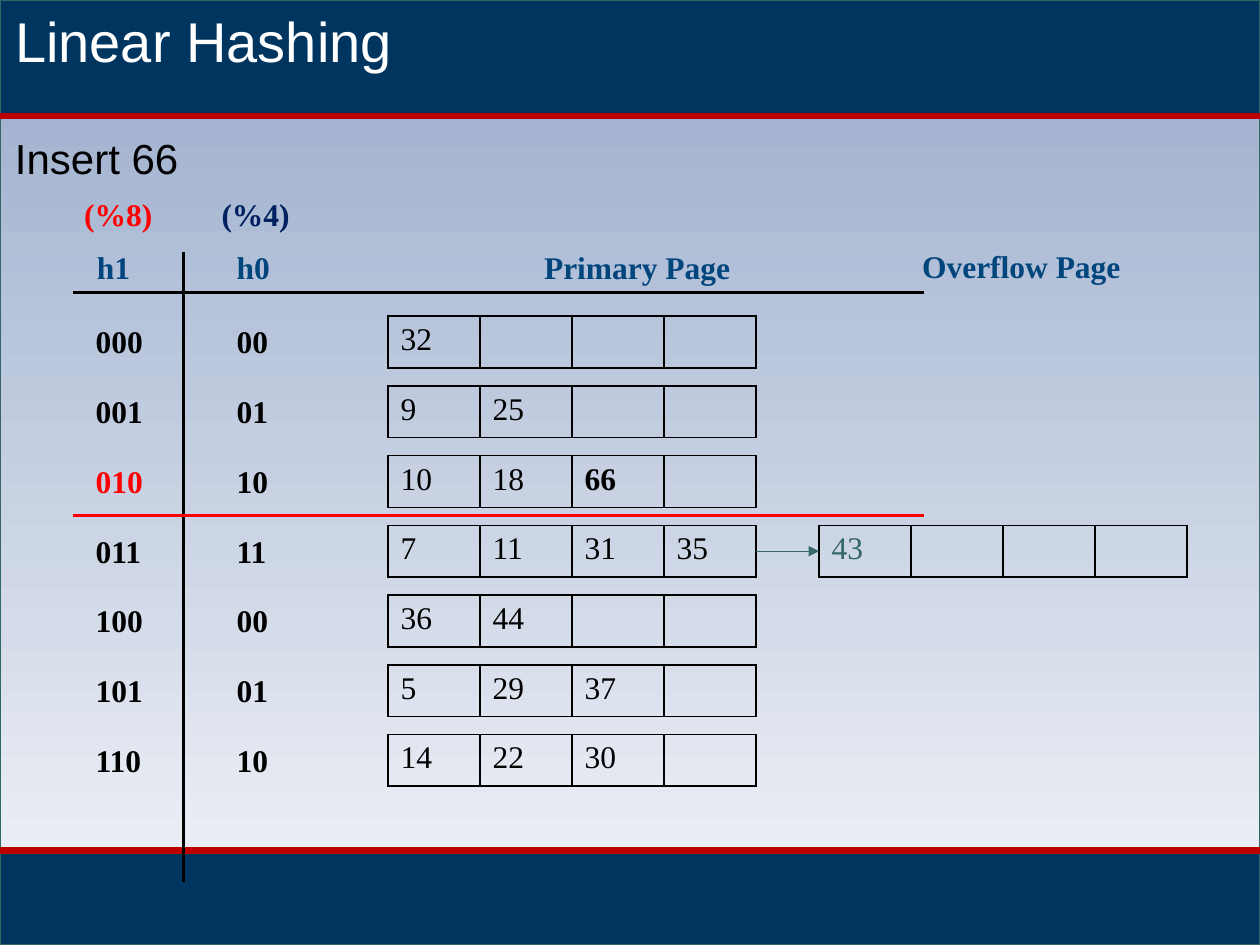
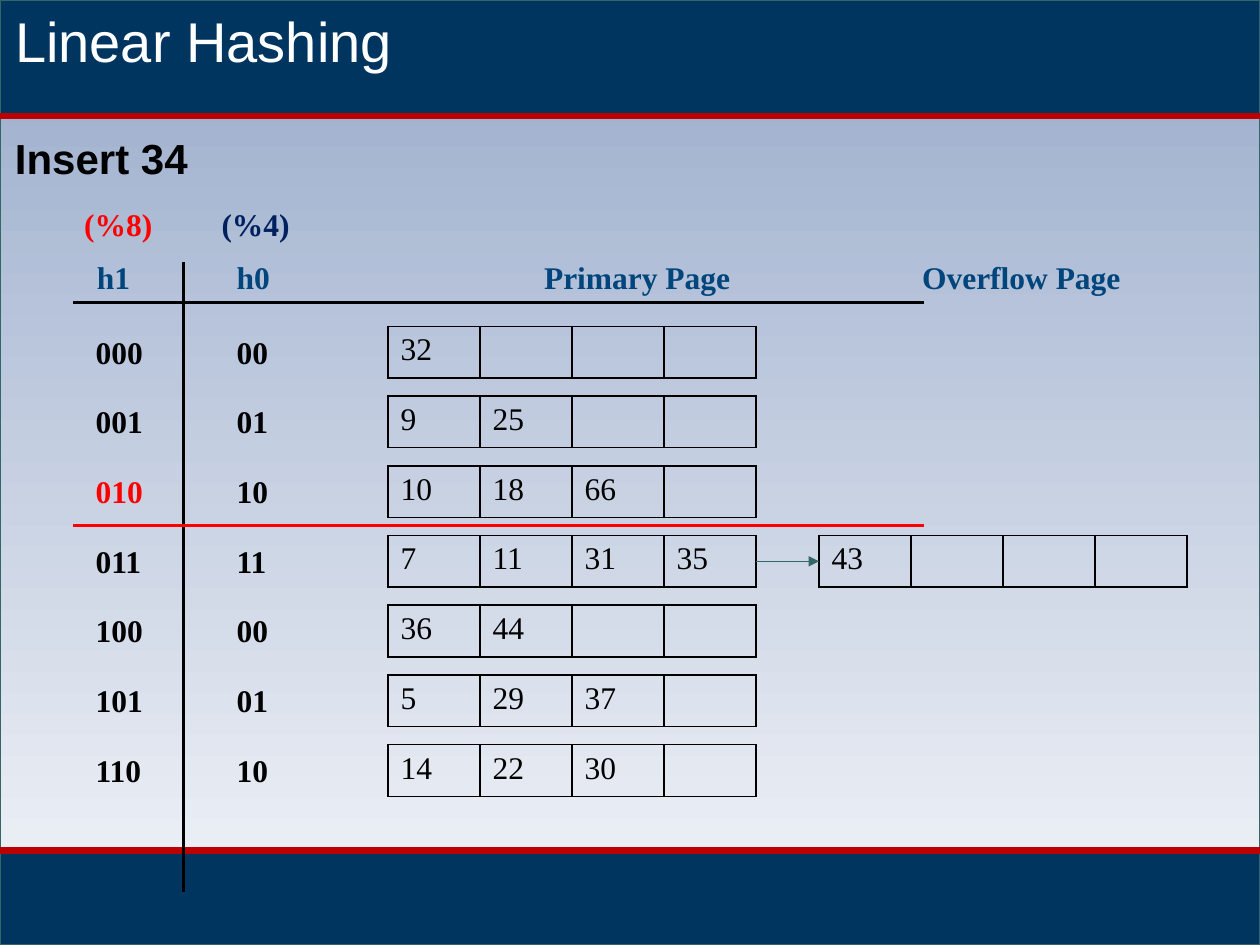
from dataclasses import dataclass

from lxml.etree import SubElement as Sub
from pptx import Presentation
from pptx.dml.color import RGBColor as Rgb
from pptx.enum.shapes import MSO_CONNECTOR as Link, MSO_SHAPE as Form
from pptx.enum.text import MSO_ANCHOR as Anchor, MSO_AUTO_SIZE as Fit, PP_ALIGN as Align
from pptx.oxml.ns import qn
from pptx.util import Inches, Pt


@dataclass(frozen=True)
class Theme:
    navy: str = "003560"
    crimson: str = "BC0000"
    teal: str = "336666"
    top: str = "99ABCB"
    base: str = "F3F5F9"
    black: str = "000000"
    white: str = "FFFFFF"
    red: str = "FF0000"
    blue: str = "00457C"
    ink: str = "002060"
    sans: str = "Arial"
    serif: str = "Times New Roman"
    title: int = 32
    lead: int = 24
    body: int = 18


T = Theme()
WIDE, HIGH = 10, 7.5
BAND, FOOT = 0.92, 6.75
PITCH = 3.32 / 6
CELL_W, CELL_H = 0.73, 0.41
SLOTS = 4
SPLIT = 3

ROWS = [
    ("000", "00", ["32"]),
    ("001", "01", ["9", "25"]),
    ("010", "10", ["10", "18", "66"]),
    ("011", "11", ["7", "11", "31", "35"]),
    ("100", "00", ["36", "44"]),
    ("101", "01", ["5", "29", "37"]),
    ("110", "10", ["14", "22", "30"]),
]

HEADS = [
    ("(%8)", 0.57, 0, 0.75, T.red),
    ("(%4)", 1.66, 0, 0.75, T.ink),
    ("h1", 0.67, 0.42, 0.47, T.blue),
    ("h0", 1.78, 0.42, 0.47, T.blue),
    ("Primary Page", 4.22, 0.42, 1.7, T.blue),
]


def style(para, size, face, hue, bold=False):
    font = para.font
    font.size, font.name, font.bold = Pt(size), face, bold
    font.color.rgb = Rgb.from_string(hue)


def label(slide, text, x, y, w, h=0.4, size=T.body, face=T.serif,
          hue=T.black, bold=True, wrap=False):
    box = slide.shapes.add_textbox(Inches(x), Inches(y), Inches(w), Inches(h))
    frame = box.text_frame
    frame.word_wrap = wrap
    frame.auto_size = Fit.SHAPE_TO_FIT_TEXT
    frame.text = text
    style(frame.paragraphs[0], size, face, hue, bold)


def rule(slide, x1, y1, x2, y2, hue, width, arrow=False):
    line = slide.shapes.add_connector(
        Link.STRAIGHT, Inches(x1), Inches(y1), Inches(x2), Inches(y2))
    line.line.color.rgb = Rgb.from_string(hue)
    line.line.width = Pt(width)
    if arrow:
        Sub(line.line._get_or_add_ln(), qn("a:tailEnd"), type="triangle")
    Sub(line.element.spPr, qn("a:effectLst"))
    return line


def panel(slide, y, h, hue=None):
    box = slide.shapes.add_shape(
        Form.RECTANGLE, 0, Inches(y), Inches(WIDE), Inches(h))
    box.shadow.inherit = False
    box.line.color.rgb = Rgb.from_string(T.teal)
    box.line.width = Pt(0.75)
    if hue:
        box.fill.solid()
        box.fill.fore_color.rgb = Rgb.from_string(hue)
    else:
        box.fill.gradient()
        box.fill.gradient_angle = 270
        for stop, tone, place in zip(box.fill.gradient_stops, (T.top, T.base), (0, 1)):
            stop.color.rgb = Rgb.from_string(tone)
            stop.position = place
    return box


def dress(layout, slide):
    parts = [
        panel(slide, 0, HIGH),
        panel(slide, FOOT, HIGH - FOOT, T.navy),
        panel(slide, 0, BAND, T.navy),
        *(rule(slide, 0, y, WIDE, y, T.crimson, 3.75) for y in (BAND, FOOT)),
    ]
    for spot, part in enumerate(parts, 2):
        layout.shapes.element.insert(spot, part.element)


def edge(cell):
    props = cell._tc.get_or_add_tcPr()
    for spot, side in enumerate(("lnL", "lnR", "lnT", "lnB")):
        line = Sub(props, qn("a:" + side), w=str(Pt(1)))
        Sub(Sub(line, qn("a:solidFill")), qn("a:srgbClr"), val=T.black)
        props.insert(spot, line)


def page(slide, x, y, keys, hue=T.black, fresh=None):
    grid = slide.shapes.add_table(
        1, SLOTS, Inches(x), Inches(y), Inches(SLOTS * CELL_W), Inches(CELL_H)).table
    grid.first_row = grid.horz_banding = False
    for spot in range(SLOTS):
        grid.columns[spot].width = Inches(CELL_W)
        cell = grid.cell(0, spot)
        cell.fill.background()
        edge(cell)
        key = keys[spot] if spot < len(keys) else ""
        cell.text = key
        style(cell.text_frame.paragraphs[0], T.body, T.serif, hue,
              bool(key) and key == fresh)


def index(slide, y, over, fresh, hue):
    for text, x, drop, w, tone in HEADS:
        label(slide, text, x, y + drop, w, hue=tone)
    label(slide, "Overflow Page", 7.22, over, 1.85, hue=T.blue)
    rule(slide, 1.46, y + 0.5, 1.46, y + 5.5, T.black, 1.75)
    rule(slide, 0.58, y + 0.82, 7.33, y + 0.82, T.black, 2)
    first = y + 1.01
    for spot, (long, short, keys) in enumerate(ROWS):
        top = first + spot * PITCH
        label(slide, long, 0.66, top, 0.58, hue=T.red if long == "010" else T.black)
        label(slide, short, 1.78, top, 0.45)
        page(slide, 3.08, top, keys, fresh=fresh)
    rule(slide, 0.58, y + 2.59, 7.33, y + 2.59, T.red, 2)
    spill = first + SPLIT * PITCH
    page(slide, 6.5, spill, ["43"], hue)
    rule(slide, 6, spill + CELL_H / 2, 6.5, spill + CELL_H / 2, T.teal, 0.75, True)


def head(slide, lead, bold):
    title = slide.shapes.title
    title.left, title.top = Inches(0.02), 0
    title.width, title.height = Inches(9.98), Inches(0.64)
    frame = title.text_frame
    frame.text = "Linear Hashing"
    frame.auto_size = Fit.NONE
    frame.vertical_anchor = Anchor.TOP
    para = frame.paragraphs[0]
    para.alignment = Align.LEFT
    style(para, T.title, T.sans, T.white)
    label(slide, lead, 0.02, 1, 9.98, 0.5, T.lead, T.sans, bold=bold, wrap=True)


def main():
    deck = Presentation()
    deck.slide_width, deck.slide_height = Inches(WIDE), Inches(HIGH)
    layout = deck.slide_layouts[5]
    steps = [
        ("Insert 66", False, 1.5, 1.91, "66", T.teal),
        ("Insert 34", True, 1.58, 2, None, T.black),
    ]
    for spot, (lead, bold, y, over, fresh, hue) in enumerate(steps):
        slide = deck.slides.add_slide(layout)
        if spot == 0:
            dress(layout, slide)
        head(slide, lead, bold)
        index(slide, y, over, fresh, hue)
    deck.save("out.pptx")


if __name__ == "__main__":
    main()
